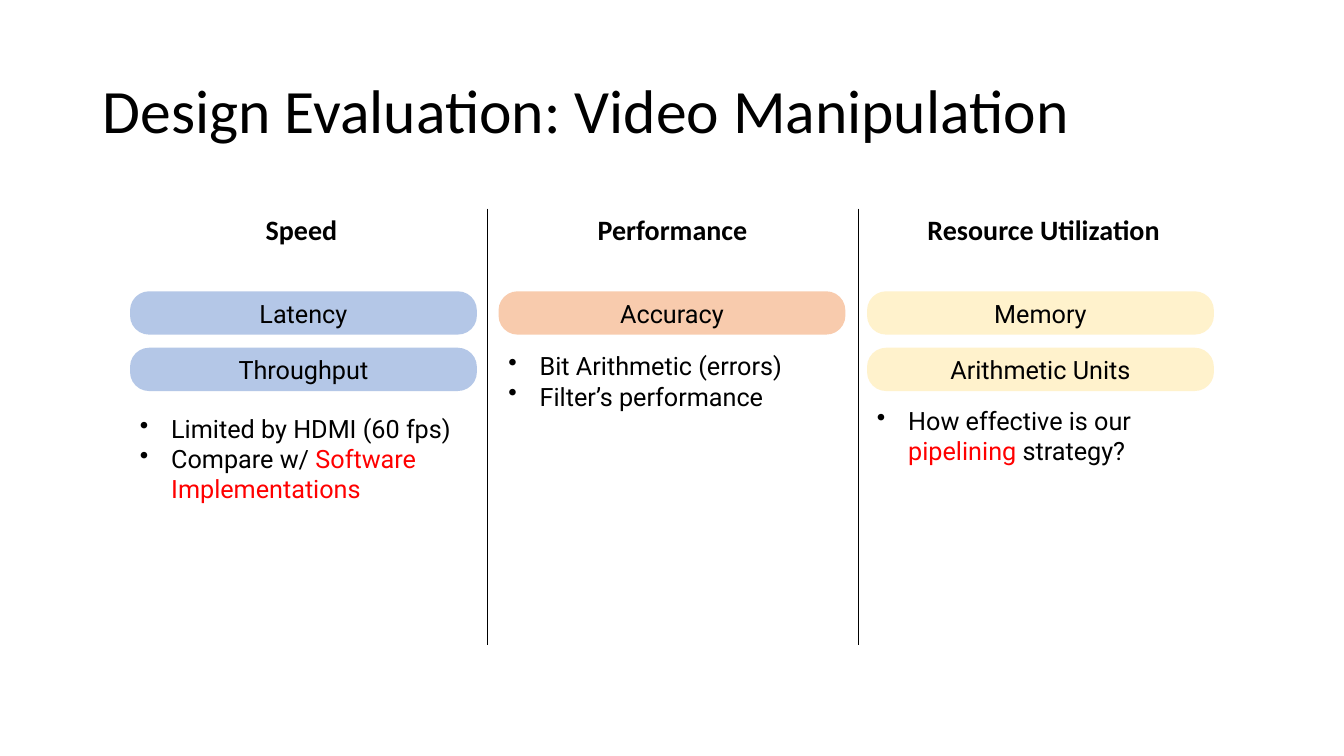
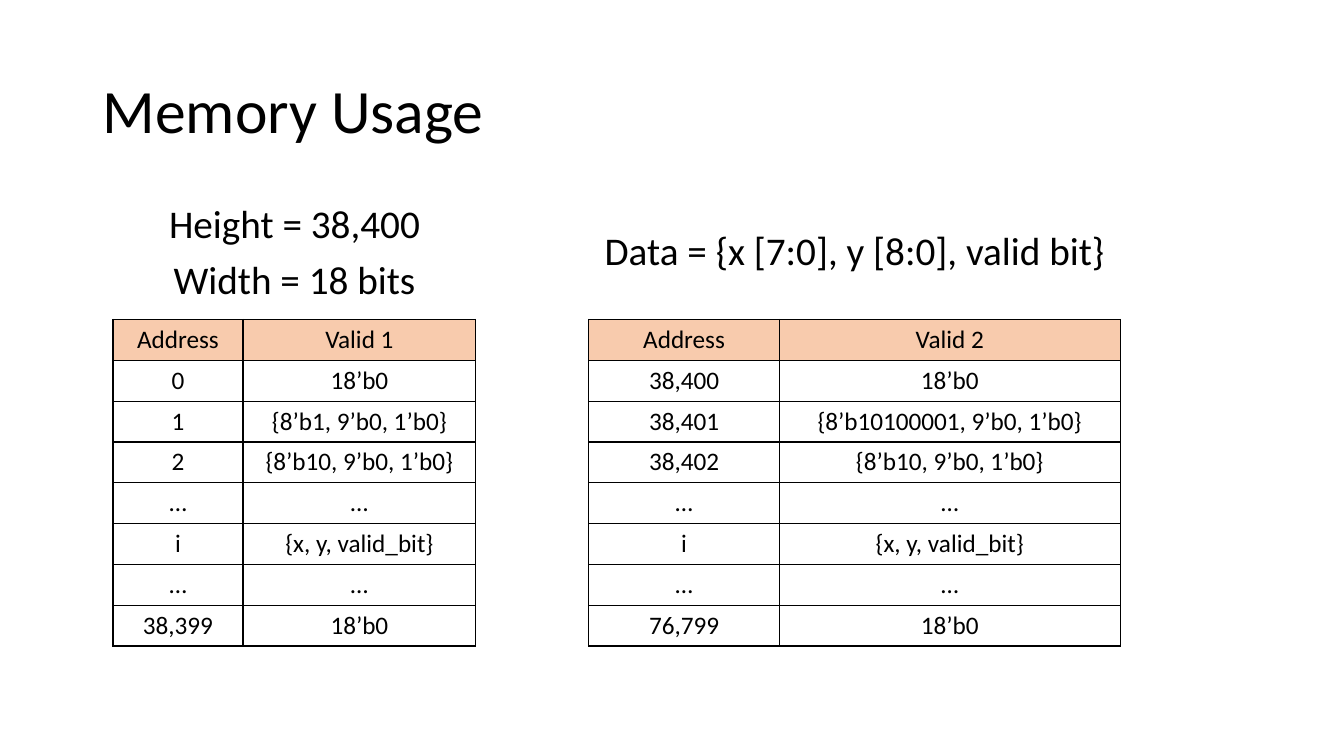
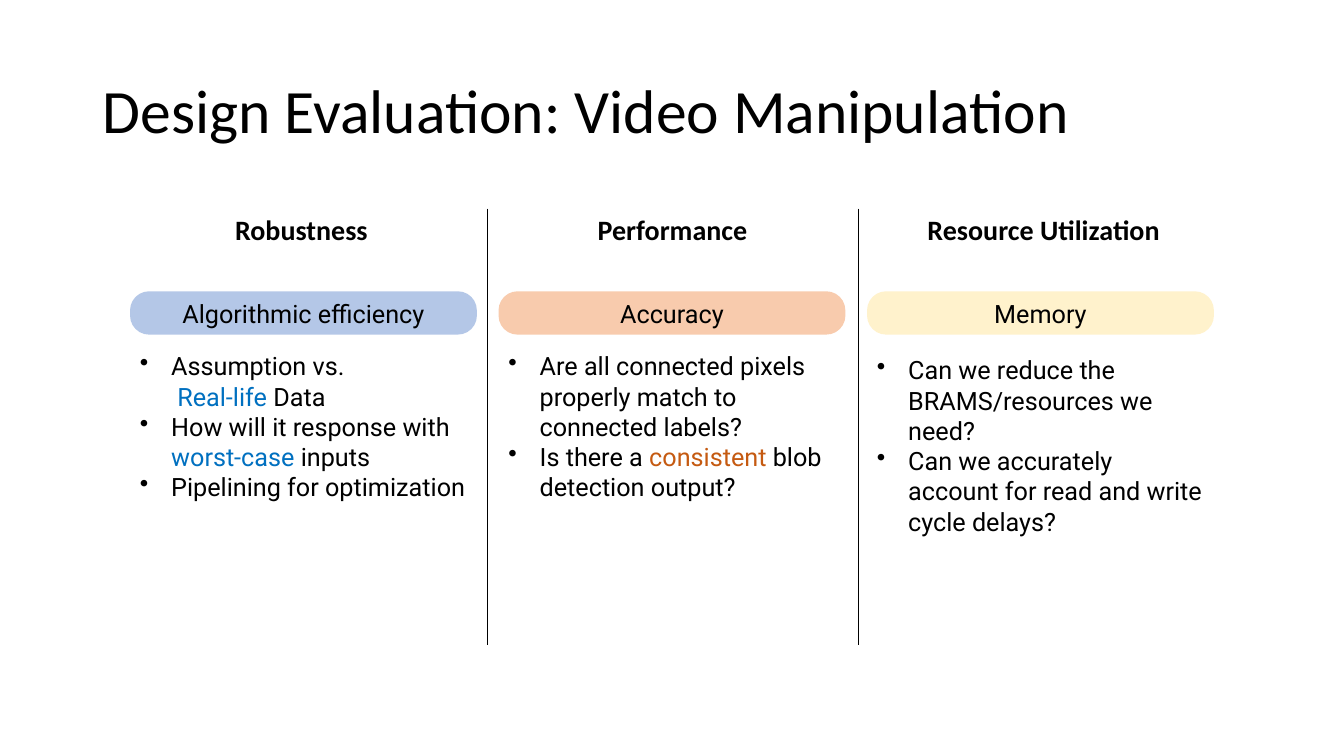
from lxml.etree import SubElement
from pptx import Presentation
from pptx.dml.color import RGBColor
from pptx.enum.shapes import MSO_SHAPE
from pptx.enum.text import MSO_ANCHOR, PP_ALIGN
from pptx.oxml.ns import qn
from pptx.util import Inches, Pt

BLACK = RGBColor(0x00, 0x00, 0x00)
RED = RGBColor(0xFF, 0x00, 0x00)
BLUE = RGBColor(0x00, 0x70, 0xC0)
RUST = RGBColor(0xC5, 0x5A, 0x11)
PALE_BLUE = RGBColor(0xB4, 0xC7, 0xE7)
PALE_ORANGE = RGBColor(0xF8, 0xCB, 0xAD)
PALE_YELLOW = RGBColor(0xFF, 0xF2, 0xCC)

HEADING_FONT = "Calibri"
BODY_FONT = "Roboto"
COLUMN_FILLS = [PALE_BLUE, PALE_ORANGE, PALE_YELLOW]
PILL_LEFT, PILL_TOP, PILL_WIDTH, PILL_HEIGHT = 1.29, 2.89, 3.44, 0.43
PILL_PITCH = 0.56
COLUMN_PITCH = (8.6 - PILL_LEFT) / 2
BULLET_INDENT = 0.31
CONTINUATION_INDENT = 0.37
EVALUATION_TITLE = "Design Evaluation: Video Manipulation"

VIDEO_COLUMNS = [
    {"heading": "Speed", "pills": ["Latency", "Throughput"], "top": 4.05,
     "points": [["Limited by HDMI (60 fps)"],
                ["Compare w/ ", ("Software Implementations", RED)]]},
    {"heading": "Performance", "pills": ["Accuracy"], "top": 3.43,
     "points": [["Bit Arithmetic (errors)"], ["Filter’s performance"]]},
    {"heading": "Resource Utilization", "pills": ["Memory", "Arithmetic Units"], "top": 3.97,
     "points": [["How effective is our ", ("pipelining", RED), " strategy?"]]},
]

LABEL_COLUMNS = [
    {"heading": "Robustness", "pills": ["Algorithmic efficiency"], "top": 3.43,
     "continuations": [1],
     "points": [["Assumption vs."],
                [("Real-life ", BLUE), "Data"],
                ["How will it response with ", ("worst-case ", BLUE), "inputs"],
                ["Pipelining for optimization"]]},
    {"heading": "Performance", "pills": ["Accuracy"], "top": 3.43,
     "points": [["Are all connected pixels properly match to connected labels?"],
                ["Is there a ", ("consistent", RUST), " blob detection output?"]]},
    {"heading": "Resource Utilization", "pills": ["Memory"], "top": 3.47,
     "points": [["Can we reduce the BRAMS/resources we need?"],
                ["Can we accurately account for read and write cycle delays?"]]},
]

MEMORY_TABLES = [
    {"left": 1.12, "widths": [1.29, 2.31], "rows": [
        ("Address", "Valid 1"),
        ("0", "18’b0"),
        ("1", "{8’b1, 9’b0, 1’b0}"),
        ("2", "{8’b10, 9’b0, 1’b0}"),
        ("…", "…"),
        ("i", "{x, y, valid_bit}"),
        ("…", "…"),
        ("38,399", "18’b0")]},
    {"left": 5.84, "widths": [1.89, 3.38], "rows": [
        ("Address", "Valid 2"),
        ("38,400", "18’b0"),
        ("38,401", "{8’b10100001, 9’b0, 1’b0}"),
        ("38,402", "{8’b10, 9’b0, 1’b0}"),
        ("…", "…"),
        ("i", "{x, y, valid_bit}"),
        ("…", "…"),
        ("76,799", "18’b0")]},
]


def write_text(frame, lines, size=18, font=BODY_FONT, bold=False,
               align=PP_ALIGN.LEFT, spacing=None, before=None):
    for number, spans in enumerate(lines):
        para = frame.add_paragraph() if number else frame.paragraphs[0]
        para.alignment = align
        if spacing:
            para.line_spacing = spacing
        if before:
            para.space_before = Pt(before)
        for part in spans:
            text, color = (part, BLACK) if isinstance(part, str) else part
            span = para.add_run()
            span.text = text
            span.font.size = Pt(size)
            span.font.name = font
            span.font.bold = bold
            span.font.color.rgb = color


def add_text_box(page, place, lines, anchor=MSO_ANCHOR.TOP, **text_format):
    box = page.shapes.add_textbox(*map(Inches, place))
    box.text_frame.word_wrap = True
    box.text_frame.vertical_anchor = anchor
    write_text(box.text_frame, lines, **text_format)
    return box


def add_page(deck, title):
    page = deck.slides.add_slide(deck.slide_layouts[6])
    add_text_box(page, (0.92, 0.4, 11.5, 1.45), [[title]], anchor=MSO_ANCHOR.MIDDLE,
                 size=44, font=HEADING_FONT, spacing=0.9)
    return page


def set_borders(cell, sides, width):
    properties = cell._tc.get_or_add_tcPr()
    for side in "LRTB":
        line = SubElement(properties, qn(f"a:ln{side}"), w=str(Pt(width)))
        if side in sides:
            fill = SubElement(line, qn("a:solidFill"))
            SubElement(fill, qn("a:srgbClr"), val=str(BLACK))
        else:
            SubElement(line, qn("a:noFill"))


def add_plain_table(page, left, top, widths, heights):
    frame = page.shapes.add_table(len(heights), len(widths), Inches(left), Inches(top),
                                  Inches(sum(widths)), Inches(sum(heights)))
    table = frame.table
    table.first_row = table.horz_banding = False
    for column, width in zip(table.columns, widths):
        column.width = Inches(width)
    for row, height in zip(table.rows, heights):
        row.height = Inches(height)
    return table


def add_column_grid(page, headings):
    table = add_plain_table(page, 1.15, 2.07, [3.68] * 3, [0.87, 3.46])
    for row in range(2):
        for column, sides in enumerate(("R", "LR", "L")):
            cell = table.cell(row, column)
            set_borders(cell, sides, 0.5)
            cell.fill.background()
    for column, heading in enumerate(headings):
        write_text(table.cell(0, column).text_frame, [[heading]], size=20,
                   font=HEADING_FONT, bold=True, align=PP_ALIGN.CENTER)


def add_pill(page, left, top, text, fill):
    pill = page.shapes.add_shape(MSO_SHAPE.ROUNDED_RECTANGLE, Inches(left), Inches(top),
                                 Inches(PILL_WIDTH), Inches(PILL_HEIGHT))
    pill.adjustments[0] = 0.44
    pill.shadow.inherit = False
    pill.fill.solid()
    pill.fill.fore_color.rgb = fill
    pill.line.fill.background()
    pill.text_frame.vertical_anchor = MSO_ANCHOR.MIDDLE
    write_text(pill.text_frame, [[text]], align=PP_ALIGN.CENTER)


def add_bullets(page, left, top, points, continuations):
    box = add_text_box(page, (left, top, PILL_WIDTH, 0.4 + 0.3 * len(points)), points)
    for number, para in enumerate(box.text_frame.paragraphs):
        properties = para._p.get_or_add_pPr()
        if number in continuations:
            properties.set("marL", str(Inches(CONTINUATION_INDENT)))
        else:
            properties.set("marL", str(Inches(BULLET_INDENT)))
            properties.set("indent", str(-Inches(BULLET_INDENT)))
            SubElement(properties, qn("a:buChar"), char="•")


def add_evaluation_page(deck, columns):
    page = add_page(deck, EVALUATION_TITLE)
    add_column_grid(page, [column["heading"] for column in columns])
    for number, (column, fill) in enumerate(zip(columns, COLUMN_FILLS)):
        left = PILL_LEFT + number * COLUMN_PITCH
        for row, text in enumerate(column["pills"]):
            add_pill(page, left, PILL_TOP + row * PILL_PITCH, text, fill)
        add_bullets(page, left, column["top"], column["points"],
                    column.get("continuations", []))


def add_memory_table(page, left, widths, rows):
    table = add_plain_table(page, left, 3.17, widths, [3.24 / len(rows)] * len(rows))
    for row, texts in enumerate(rows):
        for column, text in enumerate(texts):
            cell = table.cell(row, column)
            set_borders(cell, "LRTB", 1)
            if row:
                cell.fill.background()
            else:
                cell.fill.solid()
                cell.fill.fore_color.rgb = PALE_ORANGE
            write_text(cell.text_frame, [[text]], font=HEADING_FONT, align=PP_ALIGN.CENTER)


def add_memory_page(deck):
    page = add_page(deck, "Memory Usage")
    caption = {"size": 28, "font": HEADING_FONT, "align": PP_ALIGN.CENTER}
    add_text_box(page, (1.26, 1.98, 3.32, 1.45), [["Height = 38,400"], ["Width = 18 bits"]],
                 spacing=0.9, before=10, **caption)
    for table in MEMORY_TABLES:
        add_memory_table(page, **table)
    add_text_box(page, (5.14, 2.2, 6.67, 0.57),
                 [["Data = {x [7:0], y [8:0], valid bit}"]], **caption)


def main():
    deck = Presentation()
    deck.slide_width = Inches(13.33)
    deck.slide_height = Inches(7.5)
    add_evaluation_page(deck, VIDEO_COLUMNS)
    add_memory_page(deck)
    add_evaluation_page(deck, LABEL_COLUMNS)
    deck.save("out.pptx")


if __name__ == "__main__":
    main()
